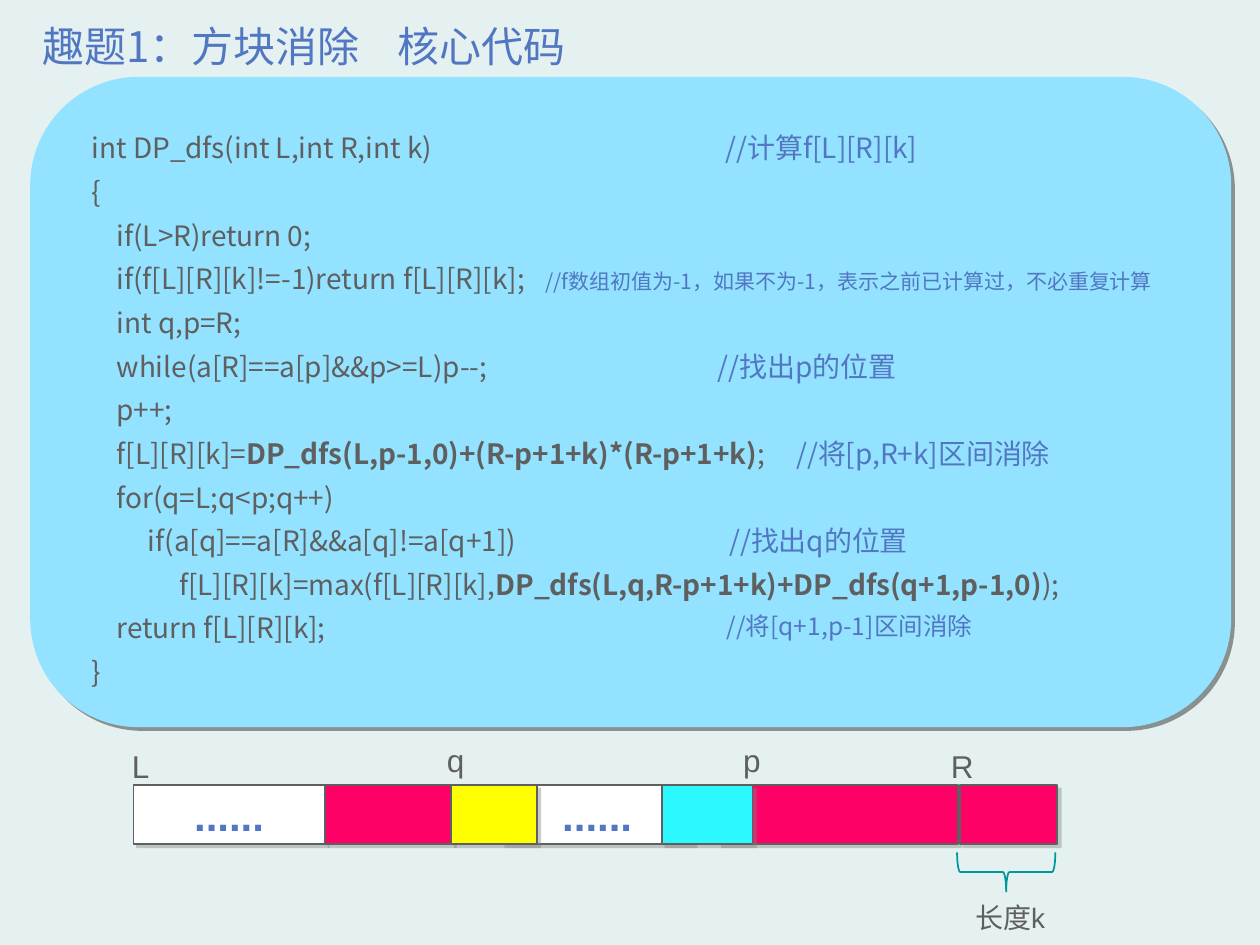
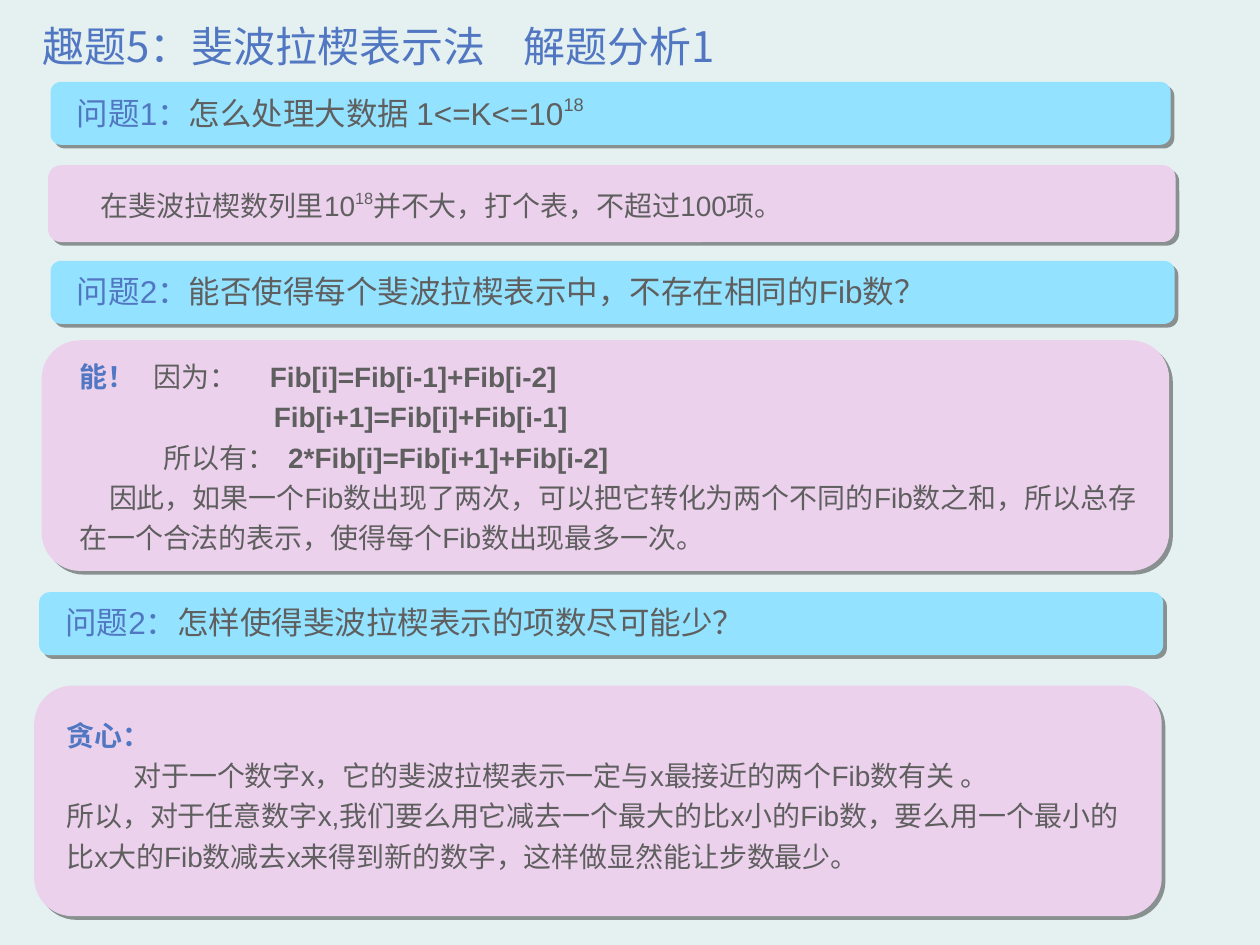
from lxml.etree import SubElement
from pptx import Presentation
from pptx.dml.color import RGBColor
from pptx.enum.shapes import MSO_SHAPE
from pptx.enum.text import MSO_ANCHOR, PP_ALIGN
from pptx.oxml.ns import qn
from pptx.util import Cm, Pt

PALE = RGBColor(0xE5, 0xF1, 0xF1)
SKY = RGBColor(0x93, 0xE2, 0xFF)
MAUVE = RGBColor(0xEC, 0xD1, 0xED)
BLUE = RGBColor(0x52, 0x77, 0xC2)
GRAY = RGBColor(0x5F, 0x5F, 0x5F)
WHITE = RGBColor(0xFF, 0xFF, 0xFF)
PINK = RGBColor(0xFF, 0x00, 0x66)
YELLOW = RGBColor(0xFF, 0xFF, 0x00)
CYAN = RGBColor(0x2B, 0xF8, 0xFF)
TEAL = RGBColor(0x00, 0x98, 0x9D)
SANS = "Noto Sans CJK SC"
LATIN = "Arial"
PANEL = MSO_SHAPE.FLOWCHART_ALTERNATE_PROCESS


def draw(slide, kind, box, fill=None, line=None, shade=None):
    shape = slide.shapes.add_shape(kind, *map(Cm, box))
    shape.shadow.inherit = False
    if fill is None:
        shape.fill.background()
    else:
        shape.fill.solid()
        shape.fill.fore_color.rgb = fill
    if line is None:
        shape.line.fill.background()
    else:
        shape.line.color.rgb = line
        shape.line.width = Pt(1)
    if shade:
        glow = shape._element.spPr.find(qn("a:effectLst"))
        outer = SubElement(glow, qn("a:outerShdw"), blurRad="0", dist="38100", dir="2700000", algn="ctr", rotWithShape="0")
        tint = SubElement(outer, qn("a:srgbClr"), val=shade)
        SubElement(tint, qn("a:alpha"), val="40000")
    return shape


def write(host, text, size=16, face=LATIN, color=GRAY, bold=False, space=1.0,
          align=PP_ALIGN.LEFT, anchor=MSO_ANCHOR.TOP, wrap=True):
    frame = host.text_frame
    frame.word_wrap = wrap
    frame.vertical_anchor = anchor
    lines = [text] if isinstance(text, str) else text
    for num, line in enumerate(lines):
        para = frame.add_paragraph() if num else frame.paragraphs[0]
        para.alignment = align
        para.line_spacing = space
        parts = [(line, "")] if isinstance(line, str) else line
        stops = [part[2] for part in parts if len(part) > 2]
        if stops:
            tabs = SubElement(para._p.get_or_add_pPr(), qn("a:tabLst"))
            for stop in stops:
                SubElement(tabs, qn("a:tab"), pos=str(Cm(stop)), algn="l")
        for words, style, *stop in parts:
            run = para.add_run()
            run.text = "\t" + words if stop else words
            font = run.font
            font.name = face
            font.size = Pt(12 if "small" in style else size)
            font.bold = bold or "bold" in style
            font.color.rgb = BLUE if "blue" in style else color
            props = run._r.get_or_add_rPr()
            if "super" in style:
                props.set("baseline", "45000")
            SubElement(props, qn("a:ea"), typeface=SANS)


deck = Presentation()
deck.slide_width, deck.slide_height = Cm(25.4), Cm(19.05)

TITLES = [
    [("趣题1：方块消除", ""), ("核心代码", "", 7.16)],
    [("趣题5：斐波拉楔表示法", ""), ("解题分析1", "", 9.7)],
]
pages = []
for title in TITLES:
    page = deck.slides.add_slide(deck.slide_layouts[6])
    page.background.fill.solid()
    page.background.fill.fore_color.rgb = PALE
    head = page.shapes.add_textbox(Cm(0.61), Cm(-0.18), Cm(21.89), Cm(2.34))
    write(head, [title], size=24, face=SANS, color=BLUE, space=0.9, anchor=MSO_ANCHOR.MIDDLE)
    pages.append(page)
code, fib = pages

draw(code, PANEL, (0.61, 1.55, 24.21, 13.11), SKY, shade="000000")
CODE = [
    [("int DP_dfs(int L,int R,int k)", ""), ("//计算f[L][R][k]", "blue", 12.78)],
    "{",
    "    if(L>R)return 0;",
    [("    if(f[L][R][k]!=-1)return f[L][R][k];", ""),
     ("//f数组初值为-1，如果不为-1，表示之前已计算过，不必重复计算", "blue small", 9.14)],
    "    int q,p=R;",
    [("    while(a[R]==a[p]&&p>=L)p--;", ""), ("//找出p的位置", "blue", 12.62)],
    "    p++;",
    [("    f[L][R][k]=", ""), ("DP_dfs(L,p-1,0)+(R-p+1+k)*(R-p+1+k)", "bold"), (";", ""),
     ("//将[p,R+k]区间消除", "blue", 14.2)],
    "    for(q=L;q<p;q++)",
    [("         if(a[q]==a[R]&&a[q]!=a[q+1])", ""), ("//找出q的位置", "blue", 12.85)],
    [("              f[L][R][k]=max(f[L][R][k],", ""),
     ("DP_dfs(L,q,R-p+1+k)+DP_dfs(q+1,p-1,0)", "bold"), (");", "")],
    "    return f[L][R][k];",
    "}",
]
body = code.shapes.add_textbox(Cm(1.6), Cm(2.31), Cm(22.94), Cm(11.71))
write(body, CODE, face=SANS, space=1.3)
note = code.shapes.add_textbox(Cm(14.4), Cm(12.01), Cm(5.6), Cm(1.9))
write(note, "//将[q+1,p-1]区间消除", size=14, face=SANS, color=BLUE, space=1.3)

BLOCKS = [
    (2.69, 3.86, WHITE), (14.48, 4.83, PINK), (19.35, 1.96, PINK), (6.55, 2.57, PINK),
    (10.11, 3.86, WHITE), (9.09, 1.73, YELLOW), (13.34, 1.83, CYAN),
]
for left, width, fill in BLOCKS:
    block = draw(code, MSO_SHAPE.RECTANGLE, (left, 15.82, width, 1.19), fill, GRAY, "7F7F7F")
    if fill == WHITE:
        write(block, "......", size=24, color=BLUE, bold=True,
              align=PP_ALIGN.CENTER, anchor=MSO_ANCHOR.MIDDLE)

MARKS = [("L", 2.41, 14.71, 0.86), ("R", 18.92, 14.71, 0.97),
         ("q", 8.76, 14.58, 0.86), ("p", 14.73, 14.58, 0.86)]
for name, left, top, width in MARKS:
    mark = code.shapes.add_textbox(Cm(left), Cm(top), Cm(width), Cm(1.24))
    write(mark, name, size=18, space=1.3, wrap=False)
brace = draw(code, MSO_SHAPE.LEFT_BRACE, (19.89, 16.59, 0.79, 1.98), line=TEAL)
brace.rotation = 270
span = code.shapes.add_textbox(Cm(19.41), Cm(17.83), Cm(2.29), Cm(1.14))
write(span, "长度k", space=1.3)

ASKS = [
    (1.02, 1.65, 22.58, [("问题1：", "blue"), ("怎么处理大数据 1<=K<=10", ""), ("18", "super")]),
    (1.02, 5.26, 22.66, [("问题2：", "blue"), ("能否使得每个斐波拉楔表示中，不存在相同的Fib数？", "")]),
    (0.79, 11.94, 22.66, [("问题2：", "blue"), ("怎样使得斐波拉楔表示的项数尽可能少？", "")]),
]
for left, top, width, ask in ASKS:
    draw(fib, PANEL, (left, top, width, 1.27), SKY, shade="000000")
    text = fib.shapes.add_textbox(Cm(left + 0.28), Cm(top + 0.1), Cm(21.08), Cm(1.04))
    write(text, [ask], size=18)

TABLE = [[("在斐波拉楔数列里10", ""), ("18", "super"), ("并不大，打个表，不超过100项。", "")]]
PROOF = [
    [("能！", "blue bold"), ("因为：", "", 1.5), ("Fib[i]=Fib[i-1]+Fib[i-2]", "bold", 3.84)],
    [("Fib[i+1]=Fib[i]+Fib[i-1]", "bold", 3.92)],
    [("所以有：", "", 1.7), ("2*Fib[i]=Fib[i+1]+Fib[i-2]", "bold", 4.21)],
    [("因此，如果一个Fib数出现了两次，可以把它转化为两个不同的Fib数之和，"
      "所以总存在一个合法的表示，使得每个Fib数出现最多一次。", "", 0.6)],
]
GREEDY = [
    [("贪心：", "blue bold")],
    [("对于一个数字x，它的斐波拉楔表示一定与x最接近的两个Fib数有关 。", "", 1.35)],
    "所以，对于任意数字x,我们要么用它减去一个最大的比x小的Fib数，要么用一个最"
    "小的比x大的Fib数减去x来得到新的数字，这样做显然能让步数最少。",
]
REPLIES = [
    ((0.97, 3.33, 22.73, 1.55), (1.78, 3.53, 21.29, 1.09), TABLE),
    ((0.84, 6.86, 22.73, 4.65), (1.35, 6.99, 21.92, 4.4), PROOF),
    ((0.69, 13.82, 22.73, 4.65), (1.09, 14.22, 21.92, 3.61), GREEDY),
]
for panel, place, reply in REPLIES:
    draw(fib, PANEL, panel, MAUVE, shade="000000")
    text = fib.shapes.add_textbox(*map(Cm, place))
    write(text, reply, space=1.2)

deck.save("out.pptx")
